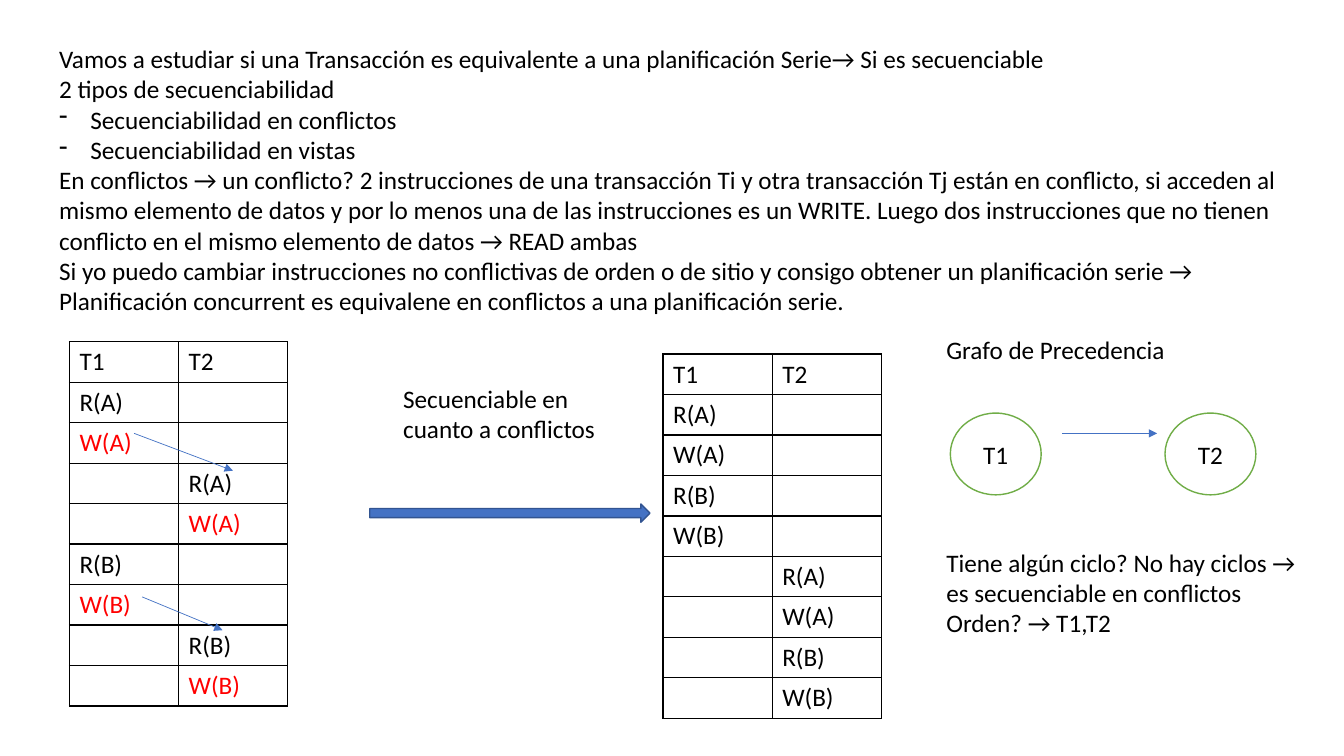
from lxml.etree import SubElement
from pptx import Presentation
from pptx.dml.color import RGBColor
from pptx.enum.shapes import MSO_CONNECTOR, MSO_SHAPE
from pptx.enum.text import MSO_ANCHOR, PP_ALIGN
from pptx.oxml import parse_xml
from pptx.oxml.ns import nsdecls, qn
from pptx.util import Cm, Pt

BLACK = RGBColor(0x00, 0x00, 0x00)
WHITE = RGBColor(0xFF, 0xFF, 0xFF)
RED = RGBColor(0xFF, 0x00, 0x00)
BLUE = RGBColor(0x44, 0x72, 0xC4)
DARK_BLUE = RGBColor(0x32, 0x54, 0x91)
GREEN = RGBColor(0x70, 0xAD, 0x47)

BODY_FONT = {"name": "Calibri", "size": Pt(18)}
ROW_HEIGHT = 1.02

THEORY = [
    "Vamos a estudiar si una Transacción es equivalente a una planificación Serie→ Si es secuenciable",
    "2 tipos de secuenciabilidad",
    "- Secuenciabilidad en conflictos",
    "- Secuenciabilidad en vistas",
    "En conflictos → un conflicto? 2 instrucciones de una transacción Ti y otra transacción Tj "
    "están en conflicto, si acceden al mismo elemento de datos y por lo menos una de las "
    "instrucciones es un WRITE. Luego dos instrucciones que no tienen conflicto en el mismo "
    "elemento de datos → READ ambas",
    "Si yo puedo cambiar instrucciones no conflictivas de orden o de sitio y consigo obtener un "
    "planificación serie → Planificación concurrent es equivalene en conflictos a una "
    "planificación serie.",
]
CONCURRENT = [(0, "R(A)"), (0, "W(A)"), (1, "R(A)"), (1, "W(A)"),
              (0, "R(B)"), (0, "W(B)"), (1, "R(B)"), (1, "W(B)")]
SERIAL = sorted(CONCURRENT, key=lambda step: step[0])
CONFLICTS = [(1.63, 2.31, 4.12, 3.25), (1.83, 6.43, 3.86, 7.27)]
CONCLUSION = [
    "Grafo de Precedencia",
    "Tiene algún ciclo? No hay ciclos → es secuenciable en conflictos",
    "Orden? → T1,T2",
]


def write(paragraph, text, color=BLACK):
    run = paragraph.add_run()
    run.text = text
    for attribute, value in BODY_FONT.items():
        setattr(run.font, attribute, value)
    run.font.color.rgb = color


def add_bullet(paragraph):
    properties = paragraph._p.get_or_add_pPr()
    properties.set("marL", str(Cm(0.79)))
    properties.set("indent", str(-Cm(0.79)))
    SubElement(properties, qn("a:buChar")).set("char", "-")


def add_text(slide, box, lines):
    frame = slide.shapes.add_textbox(*map(Cm, box)).text_frame
    frame.word_wrap = True
    for index, line in enumerate(lines):
        paragraph = frame.paragraphs[0] if index == 0 else frame.add_paragraph()
        if line.startswith("- "):
            add_bullet(paragraph)
        write(paragraph, line.removeprefix("- "))
    return frame


def add_arrow(slide, x1, y1, x2, y2):
    arrow = slide.shapes.add_connector(MSO_CONNECTOR.STRAIGHT, *map(Cm, (x1, y1, x2, y2)))
    arrow.line.color.rgb = BLUE
    arrow.line.width = Pt(0.5)
    SubElement(arrow.line._get_or_add_ln(), qn("a:tailEnd")).set("type", "triangle")
    SubElement(arrow._element.spPr, qn("a:effectLst"))


def add_figure(slide, kind, box, fill, outline):
    figure = slide.shapes.add_shape(kind, *map(Cm, box))
    figure.shadow.inherit = False
    figure.fill.solid()
    figure.fill.fore_color.rgb = fill
    figure.line.color.rgb = outline
    figure.line.width = Pt(1)
    return figure


def add_borders(cell):
    properties = cell._tc.get_or_add_tcPr()
    for index, side in enumerate(("lnL", "lnR", "lnT", "lnB")):
        properties.insert(index, parse_xml(
            f'<a:{side} {nsdecls("a")} w="{Pt(1)}"><a:solidFill>'
            f'<a:srgbClr val="{BLACK}"/></a:solidFill></a:{side}>'))


def add_schedule(slide, left, top, steps, write_color=BLACK, conflicts=()):
    rows = len(steps) + 1
    schedule = slide.shapes.add_table(
        rows, 2, Cm(left), Cm(top), Cm(5.5), Cm(ROW_HEIGHT * rows)).table
    schedule.first_row = schedule.horz_banding = False
    for row in schedule.rows:
        row.height = Cm(ROW_HEIGHT)
    for cell in schedule.iter_cells():
        cell.fill.background()
        add_borders(cell)
    for column, transaction in enumerate(("T1", "T2")):
        write(schedule.cell(0, column).text_frame.paragraphs[0], transaction)
    for row, (column, operation) in enumerate(steps, start=1):
        color = write_color if operation.startswith("W") else BLACK
        write(schedule.cell(row, column).text_frame.paragraphs[0], operation, color)
    for x1, y1, x2, y2 in conflicts:
        add_arrow(slide, left + x1, top + y1, left + x2, top + y2)


def add_transformation(slide, left, top):
    add_text(slide, (left + 0.59, top, 6.1, 1.8), ["Secuenciable en cuanto a conflictos"])
    add_figure(slide, MSO_SHAPE.RIGHT_ARROW, (left, top + 3.17, 7.06, 0.46), BLUE, DARK_BLUE)


def add_precedence_graph(slide, left, top):
    frame = add_text(slide, (left, top, 9.47, 7.95), CONCLUSION)
    frame.paragraphs[1].space_before = Pt(130)
    for index, transaction in enumerate(("T1", "T2")):
        box = (left + 0.35 + 5.41 * index, top + 2.1, 2.29, 2.06)
        node = add_figure(slide, MSO_SHAPE.OVAL, box, WHITE, GREEN).text_frame
        node.vertical_anchor = MSO_ANCHOR.MIDDLE
        node.paragraphs[0].alignment = PP_ALIGN.CENTER
        write(node.paragraphs[0], transaction)
    add_arrow(slide, left + 3.17, top + 2.61, left + 5.56, top + 2.61)


def main():
    presentation = Presentation()
    presentation.slide_width, presentation.slide_height = Cm(33.87), Cm(19.05)
    slide = presentation.slides.add_slide(presentation.slide_layouts[6])
    add_text(slide, (1.24, 0.97, 31.83, 7.19), THEORY)
    add_schedule(slide, 1.75, 8.61, CONCURRENT, RED, CONFLICTS)
    add_schedule(slide, 16.71, 8.92, SERIAL)
    add_transformation(slide, 9.32, 9.53)
    add_precedence_graph(slide, 23.6, 8.31)
    presentation.save("out.pptx")


if __name__ == "__main__":
    main()
